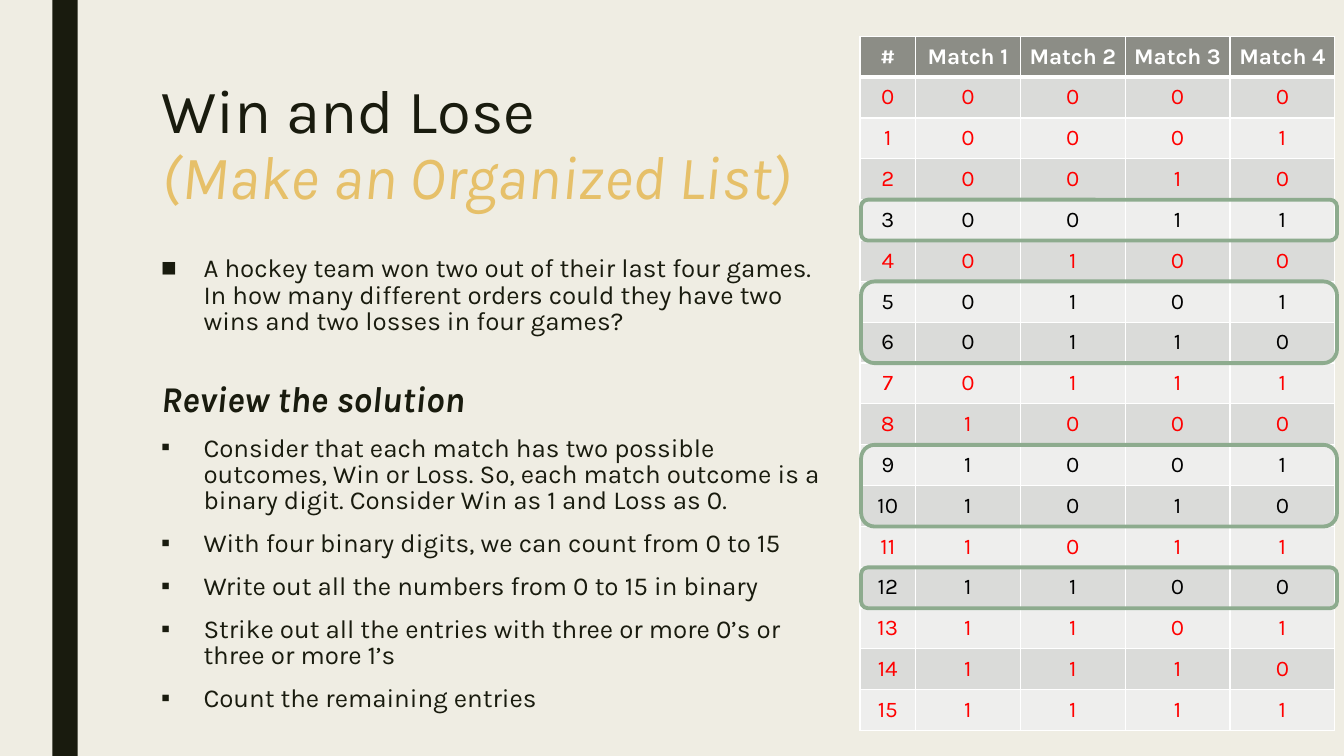
from lxml import etree
from pptx import Presentation
from pptx.dml.color import RGBColor
from pptx.enum.shapes import MSO_SHAPE
from pptx.enum.text import MSO_ANCHOR, PP_ALIGN
from pptx.oxml.ns import qn
from pptx.util import Inches, Pt

RECTANGLE, ROUNDED = MSO_SHAPE.RECTANGLE, MSO_SHAPE.ROUNDED_RECTANGLE
TOP, MIDDLE = MSO_ANCHOR.TOP, MSO_ANCHOR.MIDDLE
LEFT, CENTER = PP_ALIGN.LEFT, PP_ALIGN.CENTER

FONT = "Karla"
COLORS = {
    "background": "EFEDE3", "dark": "191B0E", "gold": "E6C069",
    "header": "8C8D86", "odd": "DADBD9", "even": "EEEEED",
    "white": "FFFFFF", "rejected": "FF0000", "kept": "000000",
    "highlight": "8DAB8E",
}

# Content
TITLE = "Win and Lose"
STRATEGY = "(Make an Organized List)"
SQUARE, SMALL_SQUARE = "■", "▪"
BODY = [  # bullet, text
    (SQUARE, "A hockey team won two out of their last four games. In how many "
             "different orders could they have two wins and two losses in four games?"),
    (None, "Review the solution"),
    (SMALL_SQUARE, "Consider that each match has two possible outcomes, Win or Loss. "
                   "So, each match outcome is a binary digit. Consider Win as 1 and Loss as 0."),
    (SMALL_SQUARE, "With four binary digits, we can count from 0 to 15"),
    (SMALL_SQUARE, "Write out all the numbers from 0 to 15 in binary"),
    (SMALL_SQUARE, "Strike out all the entries with three or more 0’s or three or more 1’s"),
    (SMALL_SQUARE, "Count the remaining entries"),
]
MATCHES = 4
HEADER = ["#"] + [f"Match {match}" for match in range(1, MATCHES + 1)]
OUTCOMES = [f"{number:0{MATCHES}b}" for number in range(2 ** MATCHES)]
COLUMN_WIDTHS = [0.55] + [1.04] * MATCHES
TABLE_TOP, TABLE_HEIGHT = 0.36, 6.89
HIGHLIGHTS = [(3, 3), (5, 6), (9, 10), (12, 12)]  # first and last entry


def color(name):
    return RGBColor.from_string(COLORS[name])


def add_run(paragraph, text, size, color_name, bold=False, italic=False):
    run = paragraph.add_run()
    run.text = text
    font = run.font
    font.name, font.size, font.bold, font.italic = FONT, Pt(size), bold, italic
    font.color.rgb = color(color_name)


def add_bullet(paragraph, symbol):
    properties = paragraph._p.get_or_add_pPr()
    properties.set("marL", str(Inches(0.42)))
    properties.set("indent", str(-Inches(0.42)))
    etree.SubElement(properties, qn("a:buFont"), typeface="Arial")
    etree.SubElement(properties, qn("a:buChar"), char=symbol)


def add_borders(cell, bottom_width):
    properties = cell._tc.get_or_add_tcPr()
    for side, width in (("L", 1), ("R", 1), ("T", 1), ("B", bottom_width)):
        line = etree.SubElement(properties, qn(f"a:ln{side}"), w=str(Pt(width)))
        fill = etree.SubElement(line, qn("a:solidFill"))
        etree.SubElement(fill, qn("a:srgbClr"), val=COLORS["white"])


def fill_cell(cell, text, fill_name, color_name, is_header):
    add_borders(cell, 3 if is_header else 1)
    cell.fill.solid()
    cell.fill.fore_color.rgb = color(fill_name)
    cell.vertical_anchor = MIDDLE
    # Narrow side margins keep each header on one line
    cell.margin_left = cell.margin_right = Inches(0.03)
    paragraph = cell.text_frame.paragraphs[0]
    paragraph.alignment = CENTER
    add_run(paragraph, text, 16, color_name, bold=is_header)


presentation = Presentation()
presentation.slide_width, presentation.slide_height = Inches(13.33), Inches(7.5)
slide = presentation.slides.add_slide(presentation.slide_layouts[5])
slide.background.fill.solid()
slide.background.fill.fore_color.rgb = color("background")

# Side bar
bar = slide.shapes.add_shape(RECTANGLE, Inches(0.52), 0, Inches(0.25), Inches(7.5))
bar.shadow.inherit = False
bar.fill.solid()
bar.fill.fore_color.rgb = color("dark")
bar.line.fill.background()

# Title
title = slide.shapes.title
title.left, title.top = Inches(1.5), Inches(0.75)
title.width, title.height = Inches(10.5), Inches(1.62)
title.text_frame.vertical_anchor = TOP
paragraph = title.text_frame.paragraphs[0]
paragraph.alignment = LEFT
paragraph.line_spacing = 0.89
add_run(paragraph, TITLE, 44, "dark")
paragraph.add_line_break()
add_run(paragraph, STRATEGY, 44, "gold", italic=True)

# Problem and solution steps
body = slide.shapes.add_textbox(Inches(1.5), Inches(2.5), Inches(6.79), Inches(4.71))
frame = body.text_frame
frame.word_wrap = True
for index, (bullet, text) in enumerate(BODY):
    is_heading = bullet is None
    paragraph = frame.add_paragraph() if index else frame.paragraphs[0]
    paragraph.line_spacing = 0.84
    paragraph.space_after = Pt(2)
    if index:
        paragraph.space_before = Pt(32 if is_heading else 10)
    if not is_heading:
        add_bullet(paragraph, bullet)
    add_run(paragraph, text, 25.9 if is_heading else 18.5, "dark",
            bold=is_heading, italic=is_heading)

# Table of all outcomes
rows = [HEADER] + [[str(number), *digits] for number, digits in enumerate(OUTCOMES)]
row_height = TABLE_HEIGHT / len(rows)
table = slide.shapes.add_table(
    len(rows), len(HEADER), Inches(8.53), Inches(TABLE_TOP),
    Inches(sum(COLUMN_WIDTHS)), Inches(TABLE_HEIGHT)).table
table.horz_banding = False
for column, width in zip(table.columns, COLUMN_WIDTHS):
    column.width = Inches(width)
for row_index, values in enumerate(rows):
    table.rows[row_index].height = Inches(row_height)
    is_header = row_index == 0
    if is_header:
        fill_name, color_name = "header", "white"
    else:
        fill_name = "odd" if row_index % 2 else "even"
        two_wins = values[1:].count("1") == 2
        color_name = "kept" if two_wins else "rejected"
    for column_index, value in enumerate(values):
        fill_cell(table.cell(row_index, column_index), value,
                  fill_name, color_name, is_header)

# Frames around the remaining entries, one row below the header onwards
for first, last in HIGHLIGHTS:
    top = TABLE_TOP + (first + 1) * row_height
    height = (last - first + 1) * row_height
    highlight = slide.shapes.add_shape(
        ROUNDED, Inches(8.54), Inches(top), Inches(4.72), Inches(height))
    highlight.shadow.inherit = False
    highlight.fill.background()
    highlight.line.color.rgb = color("highlight")
    highlight.line.width = Pt(2.75)

presentation.save("out.pptx")
